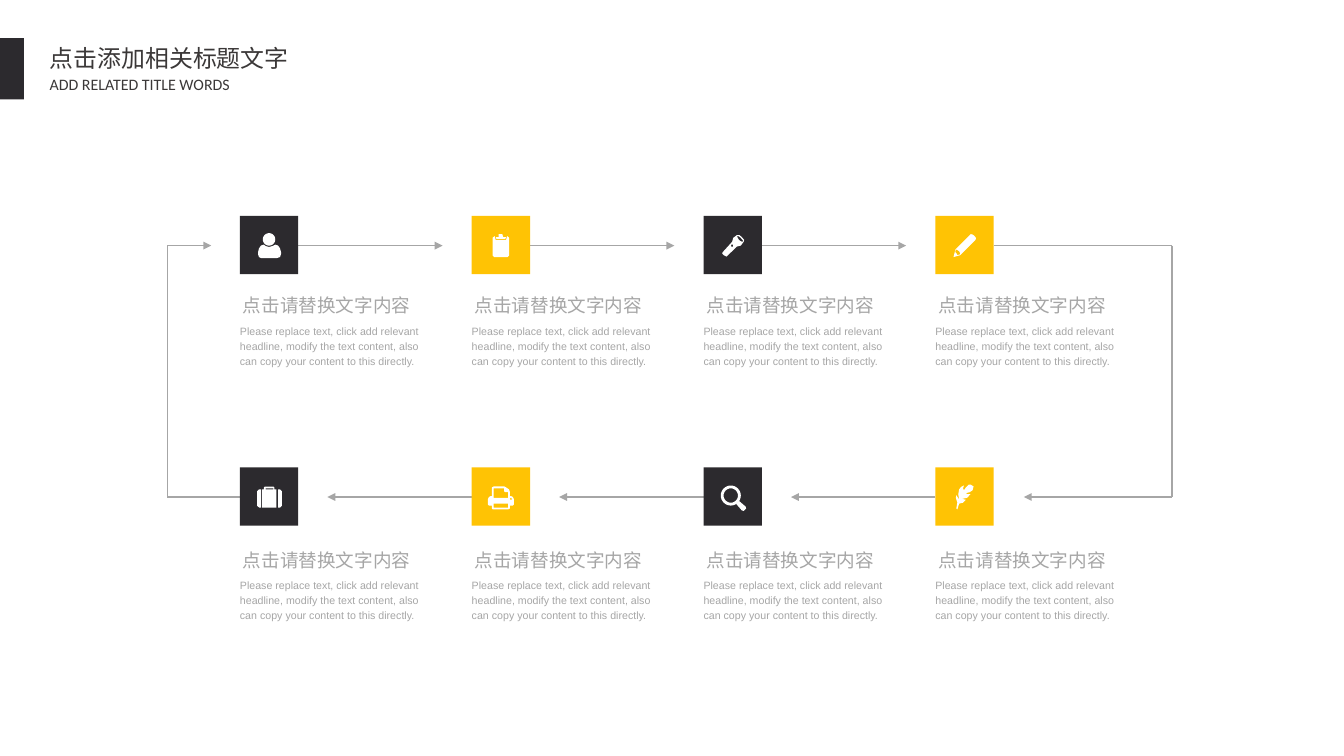
"""Build an eight-step loop slide with icon tiles, arrows and captions."""
import math

from lxml import etree
from pptx import Presentation
from pptx import util as u
from pptx.dml.color import RGBColor
from pptx.enum import shapes, text
from pptx.oxml.ns import qn

DARK, YELLOW, GREY, WHITE, TITLE_INK = "2C2A2E", "FFC304", "A6A6A6", "FFFFFF", "3B3838"
TITLE = "点击添加相关标题文字"
SUBTITLE = "ADD RELATED TITLE WORDS"
HEADING = "点击请替换文字内容"
BODY = ("Please replace text, click add relevant headline, modify the text content, "
        "also can copy your content to this directly.")


def ring(cx, cy, radius, count=32):
    angles = [2 * math.pi * i / count for i in range(count)]
    return [(cx + radius * math.cos(a), cy + radius * math.sin(a)) for a in angles]


# Each icon is a list of parts, each part a list of contours, in hundredths of an inch.
PERSON = [
    [ring(30.5, 24.5, 6.5)],
    [[(25, 30), (27, 31.5), (30.5, 32.5), (34, 31.5), (37, 30), (40, 31), (42, 34), (43, 38),
      (43, 40), (42, 43), (39, 44), (22, 44), (20, 43), (19, 40), (19, 38), (20, 34), (22, 31)]],
]
CLIPBOARD = [
    [[(37, 21), (36, 25), (25, 25), (24, 21), (22, 22.5), (22, 41.5), (23.5, 43), (37.5, 43),
      (39, 41.5), (39, 22.5)]],
    [[(35, 24), (36, 22), (33, 22), (32, 19), (28, 19), (28, 22), (25, 22), (26, 24)]],
]
TORCH = [
    [[(40, 22), (37.5, 20), (35, 20), (31, 23), (30, 27), (20, 38), (19.5, 39), (21, 41),
      (24, 42.5), (35, 32), (39, 31), (42, 27), (42.5, 25)],
     [(37, 25), (35.3, 22), (35, 21), (37, 21.3), (39, 23), (41.5, 26), (41, 27), (39, 26.5)],
     [(29, 32), (29, 30), (31, 30), (31, 32)]],
]
PENCIL = [
    [[(41, 21), (39, 19.5), (37, 19), (21, 35), (19, 43), (26, 41), (35, 32), (42, 25),
      (42.5, 23)],
     [(26, 40), (23, 41), (22, 39), (21, 38), (21, 36), (22, 35), (25, 37), (26, 39)]],
]
SUITCASE = [
    [[(22, 23), (20, 23), (18, 25), (18, 40), (20, 42), (22, 42)]],
    [[(23, 23), (25, 23), (25, 21), (26, 20), (35, 20), (36, 21), (36, 23), (38, 23),
      (38, 42), (23, 42)],
     [(27, 22), (35, 22), (35, 23), (27, 23)]],
    [[(40, 23), (42, 23), (44, 25), (44, 40), (42, 42), (40, 42)]],
]
PRINTER = [
    [[(43, 31), (41, 30), (40, 30), (40, 26), (39, 23), (36, 21), (34, 20), (23, 20), (21, 21),
      (21, 30), (20, 30), (18, 31), (17, 33), (17, 39), (18, 40), (21, 40), (21, 43), (22, 44),
      (38, 44), (40, 43), (40, 40), (43, 40), (44, 39), (44, 33)],
     [(38, 32), (23, 32), (23, 22), (34, 22), (34, 25), (35, 26), (38, 26)],
     [(23, 38), (38, 38), (38, 42), (23, 42)],
     ring(41, 33, 1)],
]
MAGNIFIER = [
    [ring(28.5, 29.5, 10.5), ring(28.5, 29.5, 7.5)],
    [[(34, 38), (37, 35), (44, 41), (44.5, 43), (42, 45.5), (40, 45)]],
]
FEATHER = [
    [[(23, 44), (25, 38), (29, 37), (32, 34), (28, 33), (33, 32), (37, 28), (33, 28), (32, 27),
      (36, 26), (39, 24), (40, 20), (37, 18), (35, 18), (32, 21), (30, 24), (29, 22), (30, 19),
      (27, 20.5), (25, 23), (24, 28), (25, 34), (22, 29), (21.5, 32), (23, 37), (22, 43)]],
]
ROWS = [
    (2.26, 3.03, 3.37, [PERSON, CLIPBOARD, TORCH, PENCIL]),
    (4.89, 5.7, 6.03, [SUITCASE, PRINTER, MAGNIFIER, FEATHER]),
]
LEFT, PITCH, TILE = 2.51, 2.425, 0.61
TOP_Y, BOTTOM_Y = 2.57, 5.2
LOOP_LEFT, LOOP_RIGHT, REACH = 1.75, 12.26, 1.51

prs = Presentation()
prs.slide_width, prs.slide_height = u.Inches(14.06), u.Inches(7.91)
s = prs.slides.add_slide(prs.slide_layouts[6])


def rgb(value):
    return RGBColor.from_string(value)


def paint(sp, color):
    sp.shadow.inherit = False
    sp.fill.solid()
    sp.fill.fore_color.rgb = rgb(color)
    sp.line.fill.background()


def add_block(x, y, w, h, color):
    box = [u.Inches(v) for v in (x, y, w, h)]
    paint(s.shapes.add_shape(shapes.MSO_SHAPE.RECTANGLE, *box), color)


def add_icon(x, y, parts):
    for contours in parts:
        outlines = [[(px * 10, py * 10) for px, py in points] for points in contours]
        fb = s.shapes.build_freeform(*outlines[0][0], scale=u.Inches(1) / 1000)
        for i, points in enumerate(outlines):
            if i:
                fb.move_to(*points[0])
            fb.add_line_segments(points[1:], close=True)
        paint(fb.convert_to_shape(u.Inches(x), u.Inches(y)), WHITE)


def add_line(x1, y1, x2, y2, arrow=False):
    ends = [u.Inches(v) for v in (x1, y1, x2, y2)]
    c = s.shapes.add_connector(shapes.MSO_CONNECTOR.STRAIGHT, *ends)
    c.line.color.rgb = rgb(GREY)
    c.line.width = u.Pt(1)
    if arrow:
        etree.SubElement(c.line._get_or_add_ln(), qn("a:tailEnd"), type="triangle")
    etree.SubElement(c._element.spPr, qn("a:effectLst"))


def add_text(x, y, w, h, words, size, font, color, inset=(0, 0), spacing=1.0):
    tf = s.shapes.add_textbox(*[u.Inches(v) for v in (x, y, w, h)]).text_frame
    tf.word_wrap = True
    tf.auto_size = text.MSO_AUTO_SIZE.SHAPE_TO_FIT_TEXT
    tf.margin_left = tf.margin_right = u.Inches(inset[0])
    tf.margin_top = tf.margin_bottom = u.Inches(inset[1])
    p = tf.paragraphs[0]
    p.text = words
    p.line_spacing = spacing
    r = p.runs[0]
    r.font.size = u.Pt(size)
    r.font.color.rgb = rgb(color)
    r.font.name = font
    etree.SubElement(r.font._element, qn("a:ea"), typeface=font)


add_block(0, 0.4, 0.25, 0.64, DARK)
add_text(0.41, 0.41, 3, 0.41, TITLE, 18, "Noto Sans CJK SC", TITLE_INK, (0.11, 0.05))
add_text(0.41, 0.73, 3, 0.31, SUBTITLE, 12, "Calibri", TITLE_INK, (0.11, 0.05))

columns = [LEFT + PITCH * i for i in range(4)]
for x in columns[:3]:
    right, following = x + TILE, x + PITCH
    add_line(right, TOP_Y, right + REACH, TOP_Y, True)
    add_line(following, BOTTOM_Y, following - REACH, BOTTOM_Y, True)
add_line(columns[3] + TILE, TOP_Y, LOOP_RIGHT, TOP_Y)
add_line(LOOP_RIGHT, TOP_Y, LOOP_RIGHT, BOTTOM_Y)
add_line(LOOP_RIGHT, BOTTOM_Y, 10.71, BOTTOM_Y, True)
add_line(LEFT, BOTTOM_Y, LOOP_LEFT, BOTTOM_Y)
add_line(LOOP_LEFT, BOTTOM_Y, LOOP_LEFT, TOP_Y)
add_line(LOOP_LEFT, TOP_Y, 2.21, TOP_Y, True)

for tile_y, heading_y, body_y, icons in ROWS:
    for i, (x, icon) in enumerate(zip(columns, icons)):
        add_block(x, tile_y, TILE, TILE, YELLOW if i % 2 else DARK)
        add_icon(x, tile_y, icon)
        add_text(x, body_y, 2.02, 0.47, BODY, 8, "Arial", GREY, spacing=1.2)
        add_text(x + 0.03, heading_y, 2.49, 0.26, HEADING, 14, "Arial", GREY, spacing=1.2)

prs.save("out.pptx")
